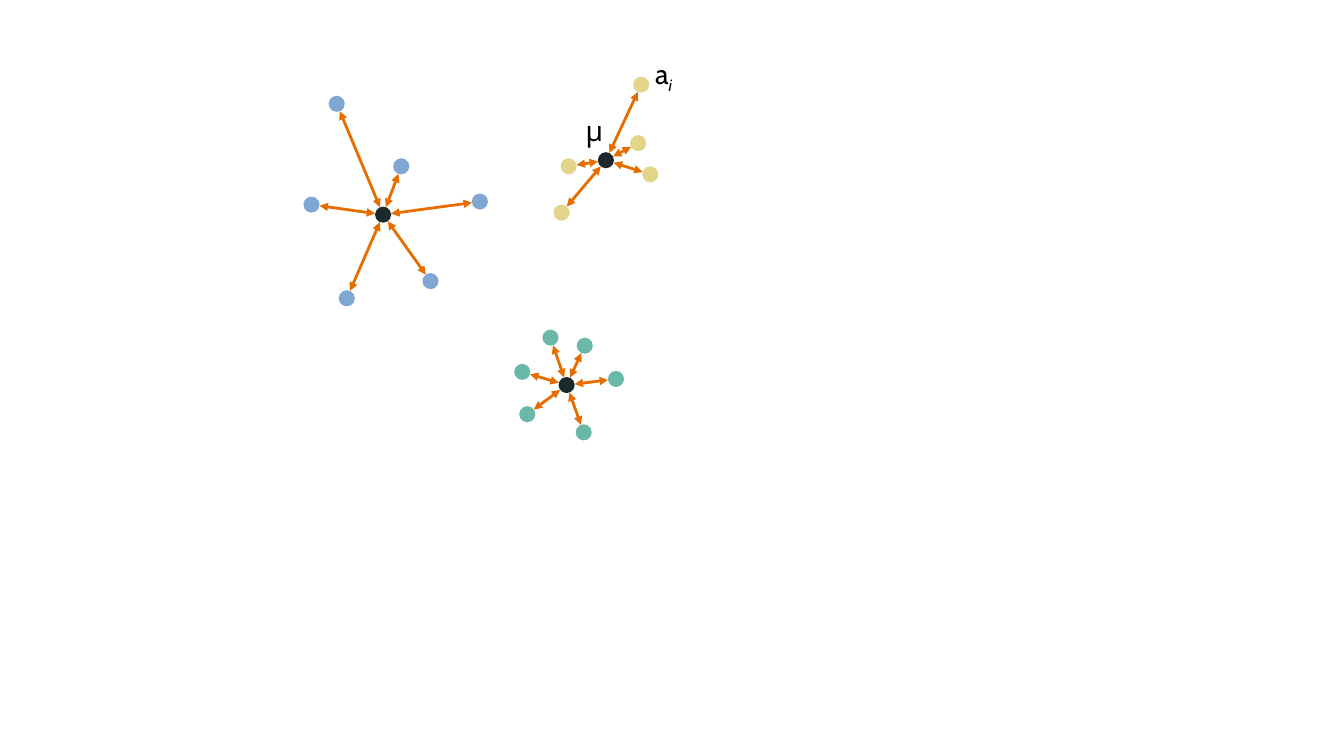
import dataclasses
import math

import lxml.etree
import pptx
import pptx.dml.color
import pptx.enum.shapes
import pptx.oxml.ns
import pptx.slide
import pptx.text.text
import pptx.util

EMU_PER_PX = 9144  # 100 px to the inch
DOT_DIAMETER = 16
ARROW_GAP = 8  # from a dot's centre to the arrow tip
FONT = "Cabin"

BLUE = pptx.dml.color.RGBColor(0x80, 0xA7, 0xD4)
YELLOW = pptx.dml.color.RGBColor(0xE1, 0xD5, 0x8A)
GREEN = pptx.dml.color.RGBColor(0x69, 0xB8, 0xA8)
DARK = pptx.dml.color.RGBColor(0x1A, 0x2A, 0x2C)
ORANGE = pptx.dml.color.RGBColor(0xE6, 0x6D, 0x00)
BLACK = pptx.dml.color.RGBColor(0x00, 0x00, 0x00)

Point = tuple[float, float]


@dataclasses.dataclass(frozen=True)
class Cluster:
    color: pptx.dml.color.RGBColor
    mean: Point
    members: list[Point]


@dataclasses.dataclass(frozen=True)
class Label:
    text: str
    subscript: str
    left: int
    top: int
    width: int
    height: int


# Dot centres
CLUSTERS = [
    Cluster(BLUE, (380, 213),
            [(398, 165), (309, 203), (476, 200), (344, 296), (334, 103), (427, 279)]),
    Cluster(YELLOW, (601, 159),
            [(645, 173), (557, 211), (633, 142), (636, 84), (564, 165)]),
    Cluster(GREEN, (562, 382),
            [(611, 376), (523, 411), (580, 343), (546, 335), (518, 369), (579, 429)]),
]

LABELS = [
    Label("a", "i", 640, 51, 53, 44),
    Label("μ", "", 571, 108, 53, 77),
]


def px(length: float) -> pptx.util.Emu:
    return pptx.util.Emu(round(length * EMU_PER_PX))


def add_dot(slide: pptx.slide.Slide, center: Point, color: pptx.dml.color.RGBColor) -> None:
    radius = DOT_DIAMETER / 2
    dot = slide.shapes.add_shape(
        pptx.enum.shapes.MSO_SHAPE.OVAL,
        px(center[0] - radius), px(center[1] - radius), px(DOT_DIAMETER), px(DOT_DIAMETER))
    dot.shadow.inherit = False
    dot.fill.solid()
    dot.fill.fore_color.rgb = color
    dot.line.fill.background()


def add_distance_arrow(slide: pptx.slide.Slide, member: Point, mean: Point) -> None:
    """Draw a double arrow that stops short of both dots."""
    length = math.dist(member, mean)
    dx = (mean[0] - member[0]) / length * ARROW_GAP
    dy = (mean[1] - member[1]) / length * ARROW_GAP
    arrow = slide.shapes.add_connector(
        pptx.enum.shapes.MSO_CONNECTOR.STRAIGHT,
        px(member[0] + dx), px(member[1] + dy), px(mean[0] - dx), px(mean[1] - dy))
    arrow.line.color.rgb = ORANGE
    arrow.line.width = pptx.util.Pt(2)
    line = arrow.line._get_or_add_ln()
    for end in ("a:headEnd", "a:tailEnd"):
        lxml.etree.SubElement(line, pptx.oxml.ns.qn(end), type="triangle")
    lxml.etree.SubElement(arrow._element.spPr, pptx.oxml.ns.qn("a:effectLst"))


def add_text(paragraph: pptx.text.text._Paragraph, text: str, *, size: int = 20,
             italic: bool = False, baseline: int = 0) -> None:
    run = paragraph.add_run()
    run.text = text
    run.font.name = FONT
    run.font.size = pptx.util.Pt(size)
    run.font.color.rgb = BLACK
    if italic:
        run.font.italic = True
    if baseline:
        run._r.get_or_add_rPr().set("baseline", str(baseline * 1000))


def add_label(slide: pptx.slide.Slide, label: Label) -> None:
    box = slide.shapes.add_textbox(
        px(label.left), px(label.top), px(label.width), px(label.height))
    box.text_frame.word_wrap = True
    paragraph = box.text_frame.paragraphs[0]
    add_text(paragraph, label.text)
    if label.subscript:
        add_text(paragraph, label.subscript, italic=True, baseline=-25)


def main() -> None:
    presentation = pptx.Presentation()
    presentation.slide_width = px(1333)
    presentation.slide_height = px(750)
    slide = presentation.slides.add_slide(presentation.slide_layouts.get_by_name("Blank"))

    # Cluster members, then their means
    for cluster in CLUSTERS:
        for member in cluster.members:
            add_dot(slide, member, cluster.color)
    for cluster in CLUSTERS:
        add_dot(slide, cluster.mean, DARK)

    # Distances to the means
    for cluster in CLUSTERS:
        for member in cluster.members:
            add_distance_arrow(slide, member, cluster.mean)

    # Labels
    for label in LABELS:
        add_label(slide, label)

    presentation.save("out.pptx")


if __name__ == "__main__":
    main()
